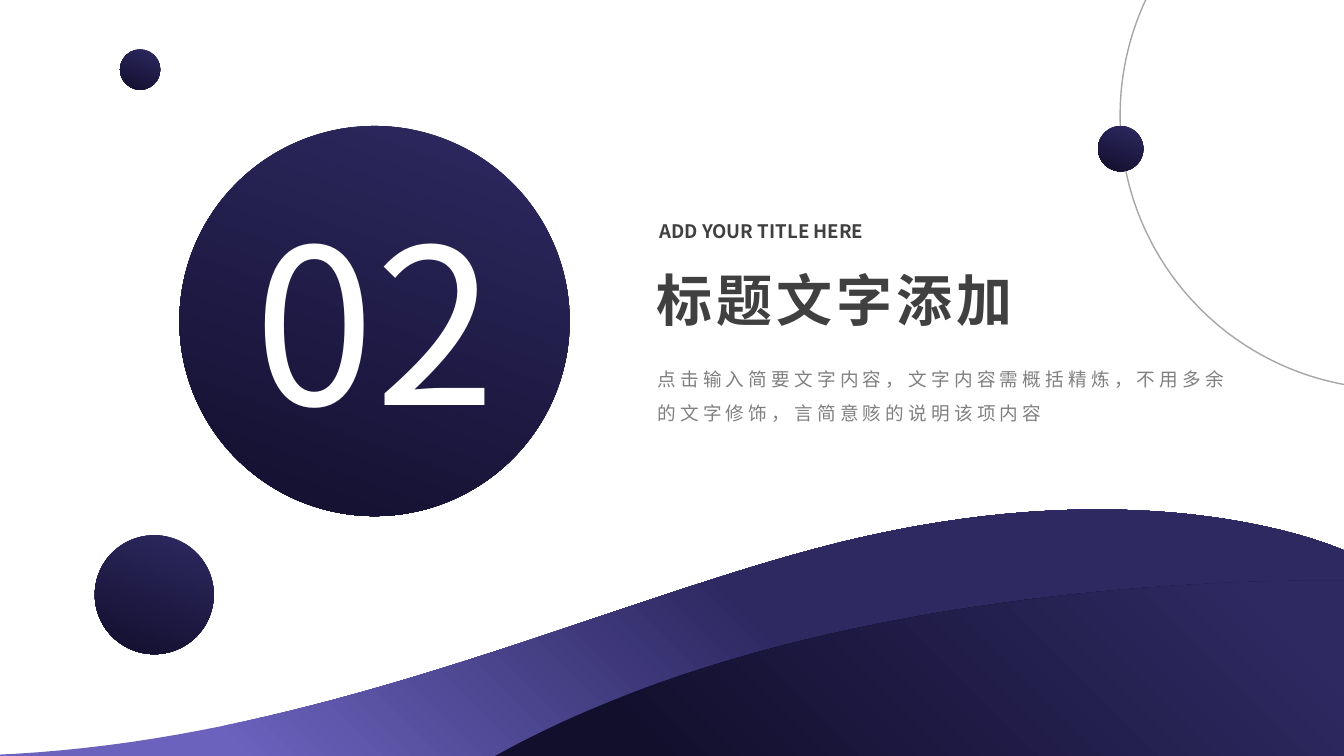
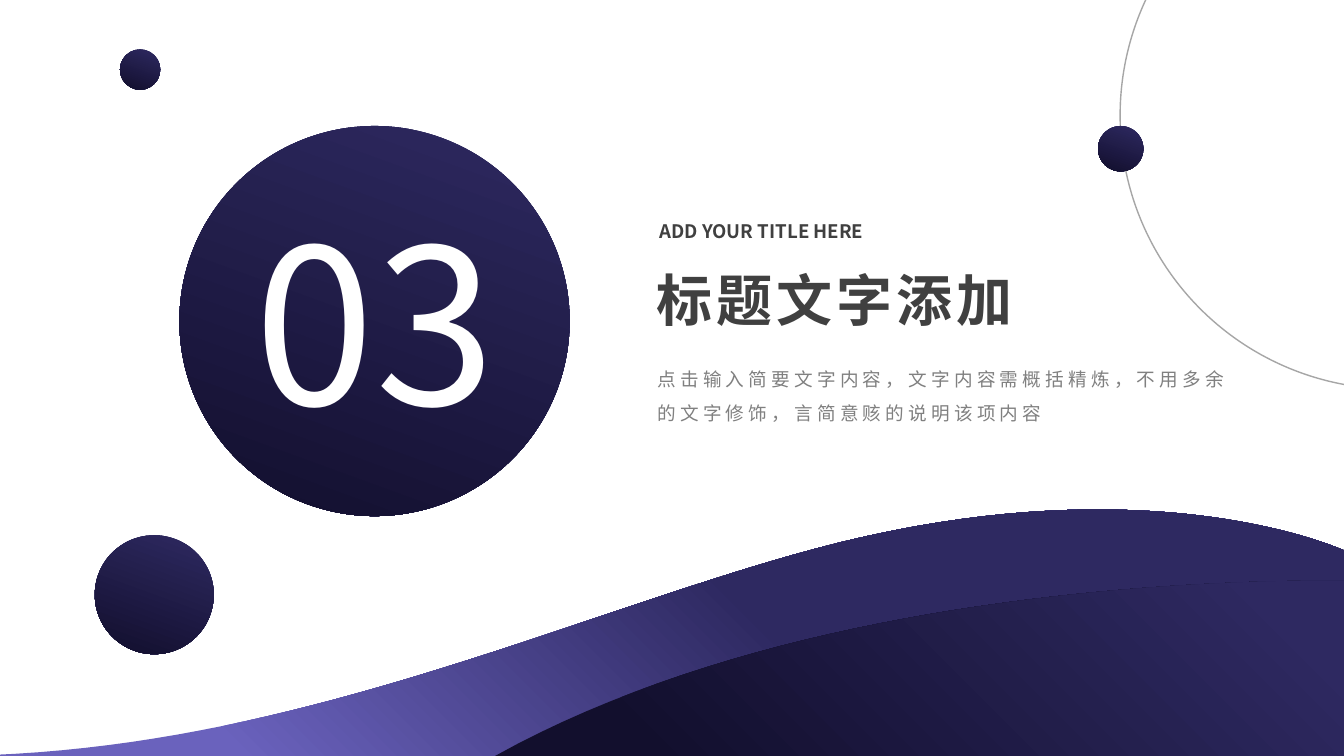
from collections import namedtuple

from lxml.etree import SubElement
from pptx import Presentation
from pptx.dml.color import RGBColor
from pptx.enum.shapes import MSO_SHAPE
from pptx.enum.text import MSO_ANCHOR, MSO_AUTO_SIZE, PP_ALIGN
from pptx.oxml.ns import qn
from pptx.util import Inches, Pt

Box = namedtuple("Box", "left top width height")

INDIGO = RGBColor(0x2E, 0x29, 0x61)
MIDNIGHT = RGBColor(0x12, 0x0F, 0x2D)
LAVENDER = RGBColor(0x6A, 0x62, 0xBD)
WHITE = RGBColor(0xFF, 0xFF, 0xFF)
DARK_GRAY = RGBColor(0x40, 0x40, 0x40)
MID_GRAY = RGBColor(0x80, 0x80, 0x80)
RING_GRAY = RGBColor(0xA6, 0xA6, 0xA6)
FONT = "Noto Sans CJK SC"
CURVE_STEPS = 40

SUBTITLE = "ADD YOUR TITLE HERE"
TITLE = "标题文字添加"
SUMMARY = "点击输入简要文字内容，文字内容需概括精炼，不用多余的文字修饰，言简意赅的说明该项内容"


def set_gradient(shape, stops, angle):
    """Fill a shape with a two-stop gradient at a clockwise angle, without outline."""
    shape.shadow.inherit = False
    shape.line.fill.background()
    shape.fill.gradient()
    shape.fill.gradient_angle = 360 - angle
    for stop, (position, color) in zip(shape.fill.gradient_stops, stops):
        stop.position = position
        stop.color.rgb = color


def add_circle(page, left, top, size):
    """Add a circle whose square frame is given in inches."""
    circle = page.shapes.add_shape(
        MSO_SHAPE.OVAL, Inches(left), Inches(top), Inches(size), Inches(size))
    circle.shadow.inherit = False
    return circle


def add_ball(page, left, top, size):
    """Add a circle shaded from indigo to midnight."""
    set_gradient(add_circle(page, left, top, size), [(0, INDIGO), (1, MIDNIGHT)], 110)


def write_text(shape, text, size, color, bold=False, spacing=0, wrap=True,
               insets=(0.13, 0.07), align=PP_ALIGN.LEFT, line_spacing=1.0):
    """Write one formatted paragraph into a shape."""
    frame = shape.text_frame
    frame.word_wrap = wrap
    frame.auto_size = MSO_AUTO_SIZE.SHAPE_TO_FIT_TEXT
    frame.vertical_anchor = MSO_ANCHOR.TOP
    frame.margin_left = frame.margin_right = Inches(insets[0])
    frame.margin_top = frame.margin_bottom = Inches(insets[1])
    para = frame.paragraphs[0]
    para.text = text
    para.alignment = align
    para.line_spacing = line_spacing
    para.font.size = Pt(size)
    para.font.bold = bold
    para.font.color.rgb = color
    para.font.name = FONT
    properties = para._p.pPr.find(qn("a:defRPr"))
    properties.set("spc", str(spacing * 100))
    SubElement(properties, qn("a:ea")).set("typeface", FONT)


def add_text(page, box, text, size, color, **style):
    """Add a text box at a box given in inches."""
    shape = page.shapes.add_textbox(*map(Inches, box))
    write_text(shape, text, size, color, **style)


def curve_points(start, first, second, end):
    """Return points along a cubic curve, after its start."""
    points = []
    for step in range(1, CURVE_STEPS + 1):
        t = step / CURVE_STEPS
        weights = ((1 - t) ** 3, 3 * t * (1 - t) ** 2, 3 * t * t * (1 - t), t ** 3)
        points.append(tuple(
            sum(weight * value for weight, value in zip(weights, values))
            for values in zip(start, first, second, end)))
    return points


def add_wave(page, box, start, curves, stops):
    """Add a wave under the curves, closed at the lower right corner of the box."""
    points = [start]
    for curve in curves:
        points += curve_points(points[-1], *curve)
    points.append((box.width, box.height))
    corners = [(Inches(box.left + x), Inches(box.top + y)) for x, y in points]
    builder = page.shapes.build_freeform(*corners[0])
    builder.add_line_segments(corners[1:], close=True)
    set_gradient(builder.convert_to_shape(), stops, 315)


def add_waves(page, box):
    """Draw the two waves along the bottom of the page."""
    add_wave(page, box, (13.92, 0.96),
             [((13.92, 0.96), (11.9, 0), (8.42, 1)),
              ((5.96, 1.7), (3.23, 2.99), (0, 2.99))],
             [(0.18, LAVENDER), (0.58, INDIGO)])
    front = Box(box.left + 5.48, box.top + 1.24, 8.44, 1.75)
    add_wave(page, front, (8.44, 0.01),
             [((7.01, 0), (2.91, 0.13), (0, 1.75))],
             [(0.15, MIDNIGHT), (0.91, INDIGO)])


def add_number(page, box, number):
    """Draw the section number on its large ball."""
    add_ball(page, box.left, box.top, box.width)
    add_text(page, Box(box.left + 0.6, box.top + 0.59, 2.68, 2.67), number, 154.7, WHITE,
             wrap=False, insets=(0.07, 0.03), align=PP_ALIGN.CENTER)


def add_heading(page, box):
    """Place the subtitle, title and summary from top to bottom."""
    add_text(page, Box(box.left, box.top, 2.42, 0.36), SUBTITLE, 13.3, DARK_GRAY,
             bold=True, wrap=False)
    title = page.shapes.title
    title.left, title.top = Inches(box.left), Inches(box.top + 0.47)
    title.width, title.height = Inches(4.38), Inches(0.77)
    write_text(title, TITLE, 40, DARK_GRAY, bold=True, spacing=3, insets=(0.1, 0.05))
    add_text(page, Box(box.left - 0.02, box.top + 1.36, box.width, 0.77), SUMMARY, 13.3,
             MID_GRAY, spacing=3, line_spacing=1.5)


def add_orbit(page, box):
    """Draw the thin ring in the corner with a ball on its edge."""
    ring = add_circle(page, box.left, box.top, box.width)
    ring.fill.background()
    ring.line.color.rgb = RING_GRAY
    ring.line.width = Pt(1)
    add_ball(page, box.left - 0.22, box.top + 2.82, 0.45)


def add_section_slide(deck, number):
    """Build one section slide."""
    page = deck.slides.add_slide(deck.slide_layouts[5])
    add_number(page, Box(1.78, 1.25, 3.87, 3.87), number)
    add_waves(page, Box(-0.57, 4.51, 13.92, 2.99))
    add_heading(page, Box(6.41, 2.11, 6.01, 2.13))
    add_ball(page, 0.94, 5.31, 1.18)
    add_ball(page, 1.19, 0.49, 0.4)
    add_orbit(page, Box(11.11, -1.57, 5.43, 5.43))


def main():
    """Build and save the deck."""
    deck = Presentation()
    deck.slide_width, deck.slide_height = Inches(13.33), Inches(7.5)
    for number in ("02", "03"):
        add_section_slide(deck, number)
    deck.save("out.pptx")


if __name__ == "__main__":
    main()
